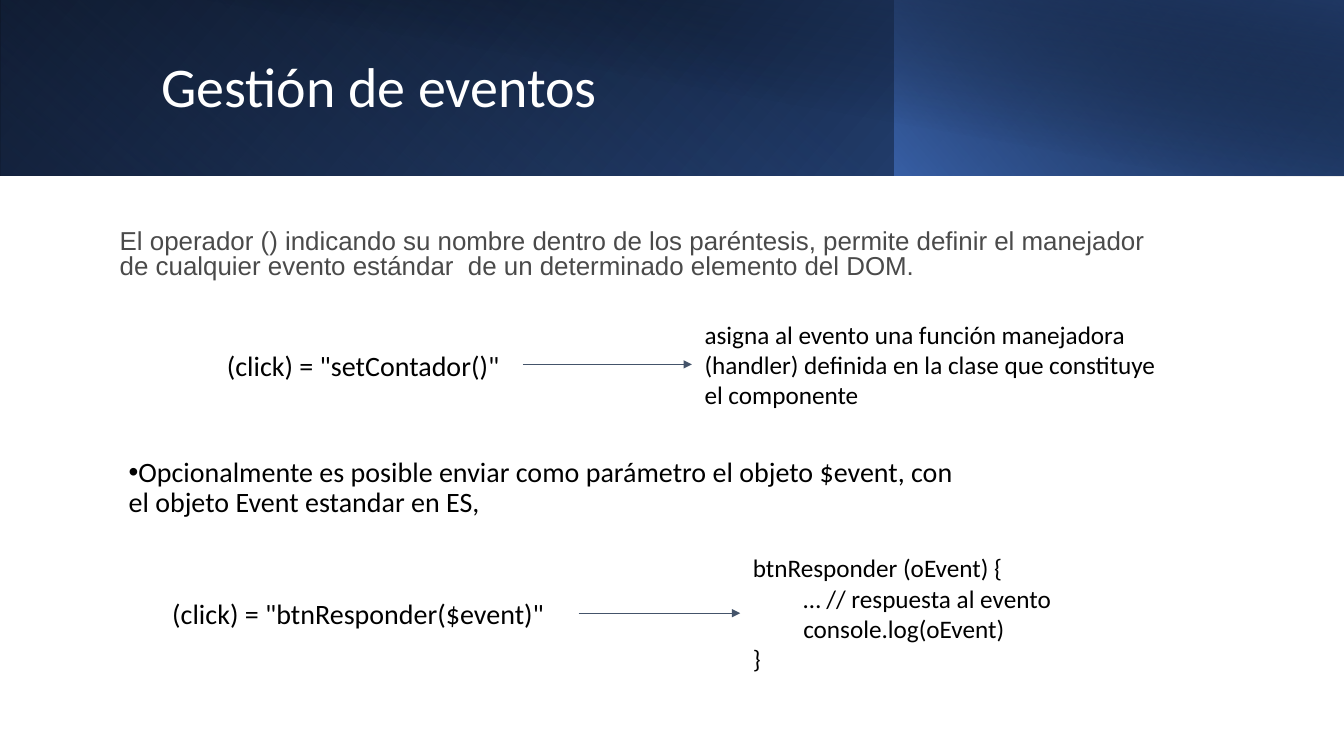
import pptx
import pptx.util
import pptx.dml.color
import pptx.enum.shapes
import pptx.enum.text
import pptx.oxml
import pptx.oxml.ns

PX = 9525
COLORS = {
    "white": "FFFFFF", "black": "000000", "gray": "4A4A4A", "arrow": "44546A",
    "navy": "203864", "blue": "2F5597", "accent": "4472C4",
}


def px(*values):
    return [pptx.util.Emu(v * PX) for v in values]


def rgb(name):
    return pptx.dml.color.RGBColor.from_string(COLORS[name])


def add_xml(parent, xml):
    el = pptx.oxml.parse_xml(xml.replace(">", " " + pptx.oxml.ns.nsdecls("a") + ">", 1))
    parent.append(el)
    return el


def format_text(sp, text, size, color, font="Calibri", spacing=None, inset=None):
    tf = sp.text_frame
    tf.text = text
    tf.word_wrap = True
    tf.auto_size = pptx.enum.text.MSO_AUTO_SIZE.NONE
    tf.vertical_anchor = pptx.enum.text.MSO_ANCHOR.MIDDLE
    if inset:
        tf.margin_left, tf.margin_top, tf.margin_right, tf.margin_bottom = px(*inset)
    for p in tf.paragraphs:
        p.space_before = pptx.util.Pt(0)
        if spacing:
            p.line_spacing = spacing
        for r in p.runs:
            r.font.size = pptx.util.Pt(size)
            r.font.name = font
            r.font.color.rgb = rgb(color)
    return tf


def add_text(s, box, text, size, **options):
    sp = s.shapes.add_textbox(*px(*box))
    return format_text(sp, text, size, "black", **options)


def add_gradient(s, box, stops, angle, flip=False, rotation=0):
    sp = s.shapes.add_shape(pptx.enum.shapes.MSO_SHAPE.RECTANGLE, *px(*box))
    sp.shadow.inherit = False
    sp.line.fill.background()
    sp.rotation = rotation
    if flip:
        sp._element.spPr.find(pptx.oxml.ns.qn("a:xfrm")).set("flipH", "1")
    sp.fill.gradient()
    grad = sp._element.spPr.find(pptx.oxml.ns.qn("a:gradFill"))
    for child in list(grad):
        grad.remove(child)
    gs = "".join(
        f'<a:gs pos="{pos * 1000}"><a:srgbClr val="{COLORS[color]}">'
        f'<a:alpha val="{alpha * 1000}"/></a:srgbClr></a:gs>'
        for pos, color, alpha in stops)
    add_xml(grad, f"<a:gsLst>{gs}</a:gsLst>")
    add_xml(grad, f'<a:lin ang="{angle * 60000}" scaled="0"></a:lin>')


def add_header(s, box):
    x, y, w, h = box
    split = 852
    add_gradient(s, box, [(0, "black", 100), (100, "blue", 100)], 140, flip=True)
    add_gradient(s, (x, y, split, h), [(20, "accent", 0), (100, "navy", 55)], 230,
                 flip=True, rotation=180)
    add_gradient(s, (x + split, y, w - split, h), [(0, "accent", 66), (100, "black", 30)],
                 220, flip=True)
    add_gradient(s, (x + 48, y, w - 48, h + 1), [(50, "black", 0), (99, "navy", 52)], 280)
    title = s.shapes.title
    title.left, title.top, title.width, title.height = px(x + 144, y + 31, 1039, 108)
    tf = format_text(title, "Gestión de eventos", 40, "white", spacing=0.9)
    tf.paragraphs[0].alignment = pptx.enum.text.PP_ALIGN.LEFT


def add_intro(s, box):
    body = s.placeholders[1]
    body.left, body.top, body.width, body.height = px(*box)
    tf = format_text(
        body,
        "El operador () indicando su nombre dentro de los paréntesis, permite definir el "
        "manejador de cualquier evento estándar  de un determinado elemento del DOM.",
        18.5, "gray", font="Arial", spacing=0.8, inset=(10, 5, 10, 29))
    pPr = tf.paragraphs[0]._p.get_or_add_pPr()
    pPr.set("marL", "0")
    pPr.set("indent", "0")
    add_xml(pPr, "<a:buNone></a:buNone>")


def add_option(s, box):
    tf = add_text(
        s, box,
        "Opcionalmente es posible enviar como parámetro el objeto $event, con el objeto "
        "Event estandar en ES,", 20, spacing=0.9)
    pPr = tf.paragraphs[0]._p.get_or_add_pPr()
    pPr.set("marL", "0")
    pPr.set("indent", "0")
    add_xml(pPr, '<a:buFont typeface="Arial"></a:buFont>')
    add_xml(pPr, '<a:buChar char="•"></a:buChar>')


def add_example(s, box, call, call_size, result, arrow_width):
    x, y, w, h = box
    call_w, call_h = call_size
    result_x = x + call_w + arrow_width
    middle = y + h // 2
    inset = (12, 12, 12, 12)
    add_text(s, (x, middle - call_h // 2, call_w, call_h), call, 20, inset=inset)
    add_text(s, (result_x, y, x + w - result_x, h), result, 18, inset=inset)
    line = s.shapes.add_connector(
        pptx.enum.shapes.MSO_CONNECTOR.STRAIGHT,
        *px(x + call_w, middle, result_x, middle))
    line.line.color.rgb = rgb("arrow")
    line.line.width = pptx.util.Pt(0.75)
    add_xml(line.line._get_or_add_ln(), '<a:tailEnd type="triangle"></a:tailEnd>')
    add_xml(line._element.spPr, "<a:effectLst></a:effectLst>")


def main():
    prs = pptx.Presentation()
    prs.slide_width, prs.slide_height = px(1280, 720)
    s = prs.slides.add_slide(prs.slide_layouts[1])
    add_header(s, (0, 0, 1280, 167))
    add_intro(s, (104, 208, 1020, 95))
    add_example(
        s, (204, 292, 921, 110), '(click) = "setContador()"', (294, 91),
        "asigna al evento una función manejadora (handler) definida en la clase que "
        "constituye el componente", 161)
    add_option(s, (113, 418, 810, 94))
    add_example(
        s, (152, 506, 973, 156), '(click) = "btnResponder($event)"', (399, 58),
        "btnResponder (oEvent) {\n\t… // respuesta al evento\n\tconsole.log(oEvent)\n}", 154)
    tree = s.shapes._spTree
    for sp in (s.shapes.title, s.placeholders[1]):
        tree.remove(sp._element)
        tree.insert(6, sp._element)
    prs.save("out.pptx")


if __name__ == "__main__":
    main()
